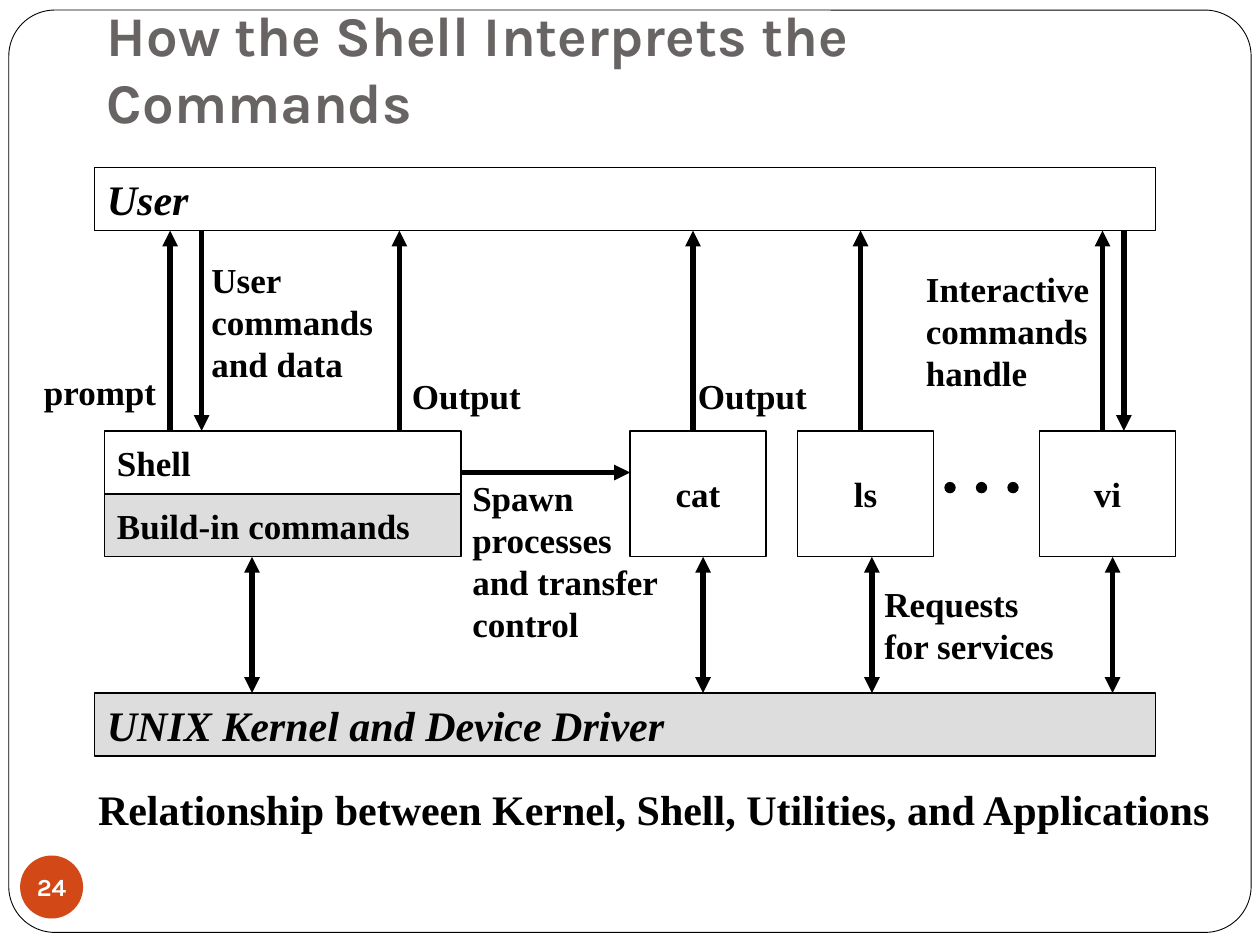
from dataclasses import dataclass

from lxml import etree
from pptx import Presentation, util as u
from pptx.dml.color import RGBColor
from pptx.enum import shapes, text
from pptx.oxml.ns import qn


@dataclass(frozen=True)
class Theme:
    black: RGBColor = RGBColor.from_string("000000")
    white: RGBColor = RGBColor.from_string("FFFFFF")
    gray: RGBColor = RGBColor.from_string("DDDDDD")
    title_gray: RGBColor = RGBColor.from_string("696464")
    accent: RGBColor = RGBColor.from_string("D34817")
    heading_font: str = "Karla"
    body_font: str = "Times New Roman"
    title_size: int = 32
    large_size: int = 24
    label_size: int = 20
    number_size: int = 14


theme = Theme()


def add_box(kind, bounds, fill=None, line_width=0.75):
    shape = slide.shapes.add_shape(kind, *map(u.Inches, bounds))
    shape.shadow.inherit = False
    if fill is None:
        shape.fill.background()
    else:
        shape.fill.solid()
        shape.fill.fore_color.rgb = fill
    if line_width:
        shape.line.color.rgb = theme.black
        shape.line.width = u.Pt(line_width)
    else:
        shape.line.fill.background()
    return shape


def write(shape, words, size, font=theme.body_font, color=theme.black, italic=False,
          align=text.PP_ALIGN.LEFT, anchor=text.MSO_ANCHOR.MIDDLE):
    frame = shape.text_frame
    frame.text = words
    frame.word_wrap = True
    frame.vertical_anchor = anchor
    for paragraph in frame.paragraphs:
        paragraph.alignment = align
        for run in paragraph.runs:
            run.font.name = font
            run.font.size = u.Pt(size)
            run.font.bold = True
            run.font.italic = italic
            run.font.color.rgb = color


presentation = Presentation()
presentation.slide_width = u.Inches(10)
presentation.slide_height = u.Inches(7.5)
slide = presentation.slides.add_slide(presentation.slide_layouts[6])
rectangle = shapes.MSO_SHAPE.RECTANGLE
oval = shapes.MSO_SHAPE.OVAL

border = add_box(shapes.MSO_SHAPE.ROUNDED_RECTANGLE, (0.07, 0.08, 9.86, 7.32), theme.white, 0.5)
border.adjustments[0] = 0.05

title = slide.shapes.add_textbox(*map(u.Inches, (0.75, 0.42, 8.5, 0.75)))
title.text_frame.margin_bottom = u.Inches(0.1)
write(title, "How the Shell Interprets the Commands", theme.title_size, theme.heading_font,
      theme.title_gray, anchor=text.MSO_ANCHOR.BOTTOM)

user_bottom, process_top, process_bottom, kernel_top = 1.83, 3.42, 4.42, 5.5
bar_height = 0.5

for words, left, top, width, fill, size, italic in (
    ("User", 0.75, user_bottom - bar_height, 8.42, None, theme.large_size, True),
    ("UNIX Kernel and Device Driver", 0.75, kernel_top, 8.42, theme.gray, theme.large_size, True),
    ("Shell", 0.83, process_top, 2.83, None, theme.label_size, False),
    ("Build-in commands", 0.83, process_top + bar_height, 2.83, theme.gray, theme.label_size, False),
):
    bar = add_box(rectangle, (left, top, width, bar_height), fill)
    write(bar, words, size, italic=italic)

for words, left in (("cat", 5), ("ls", 6.33), ("vi", 8.25)):
    utility = add_box(rectangle, (left, process_top, 1.08, process_bottom - process_top))
    write(utility, words, theme.label_size, align=text.PP_ALIGN.CENTER)

for index in range(3):
    add_box(oval, (7.5 + 0.25 * index, 3.83, 0.08, 0.08), theme.black)

upward = [(x, process_top, x, user_bottom, False) for x in (1.35, 3.17, 5.5, 6.83, 8.75)]
downward = [(x, user_bottom, x, process_top, False) for x in (1.6, 8.92)]
two_way = [(x, process_bottom, x, kernel_top, True) for x in (2, 5.58, 6.92, 8.83)]
spawn = [(3.67, 3.75, 5, 3.75, False)]

for *ends, both_ways in upward + downward + two_way + spawn:
    arrow = slide.shapes.add_connector(shapes.MSO_CONNECTOR.STRAIGHT, *map(u.Inches, ends))
    arrow.line.color.rgb = theme.black
    arrow.line.width = u.Pt(3)
    line = arrow.line._get_or_add_ln()
    for tag in ("a:headEnd", "a:tailEnd") if both_ways else ("a:tailEnd",):
        etree.SubElement(line, qn(tag), type="triangle")
    etree.SubElement(arrow._element.spPr, qn("a:effectLst"))

for words, bounds, size in (
    ("prompt", (0.25, 2.89, 1.13, 0.44), theme.label_size),
    ("User\ncommands\nand data", (1.58, 2, 1.53, 1.1), theme.label_size),
    ("Output", (3.17, 2.92, 1.12, 0.44), theme.label_size),
    ("Output", (5.44, 2.92, 1.12, 0.44), theme.label_size),
    ("Interactive\ncommands\nhandle", (7.25, 2.07, 1.55, 1.1), theme.label_size),
    ("Spawn\nprocesses\nand transfer\ncontrol", (3.65, 3.73, 1.73, 1.44), theme.label_size),
    ("Requests\nfor services", (6.92, 4.57, 1.6, 0.77), theme.label_size),
    ("Relationship between Kernel, Shell, Utilities, and Applications",
     (0.68, 6.17, 9.1, 0.5), theme.large_size),
):
    label = slide.shapes.add_textbox(*map(u.Inches, bounds))
    write(label, words, size, anchor=text.MSO_ANCHOR.TOP)

number = add_box(oval, (0.16, 6.79, 0.5, 0.5), theme.accent, 0)
frame = number.text_frame
frame.margin_left = frame.margin_right = frame.margin_top = frame.margin_bottom = 0
write(number, "24", theme.number_size, theme.heading_font, theme.white,
      align=text.PP_ALIGN.CENTER)

presentation.save("out.pptx")
